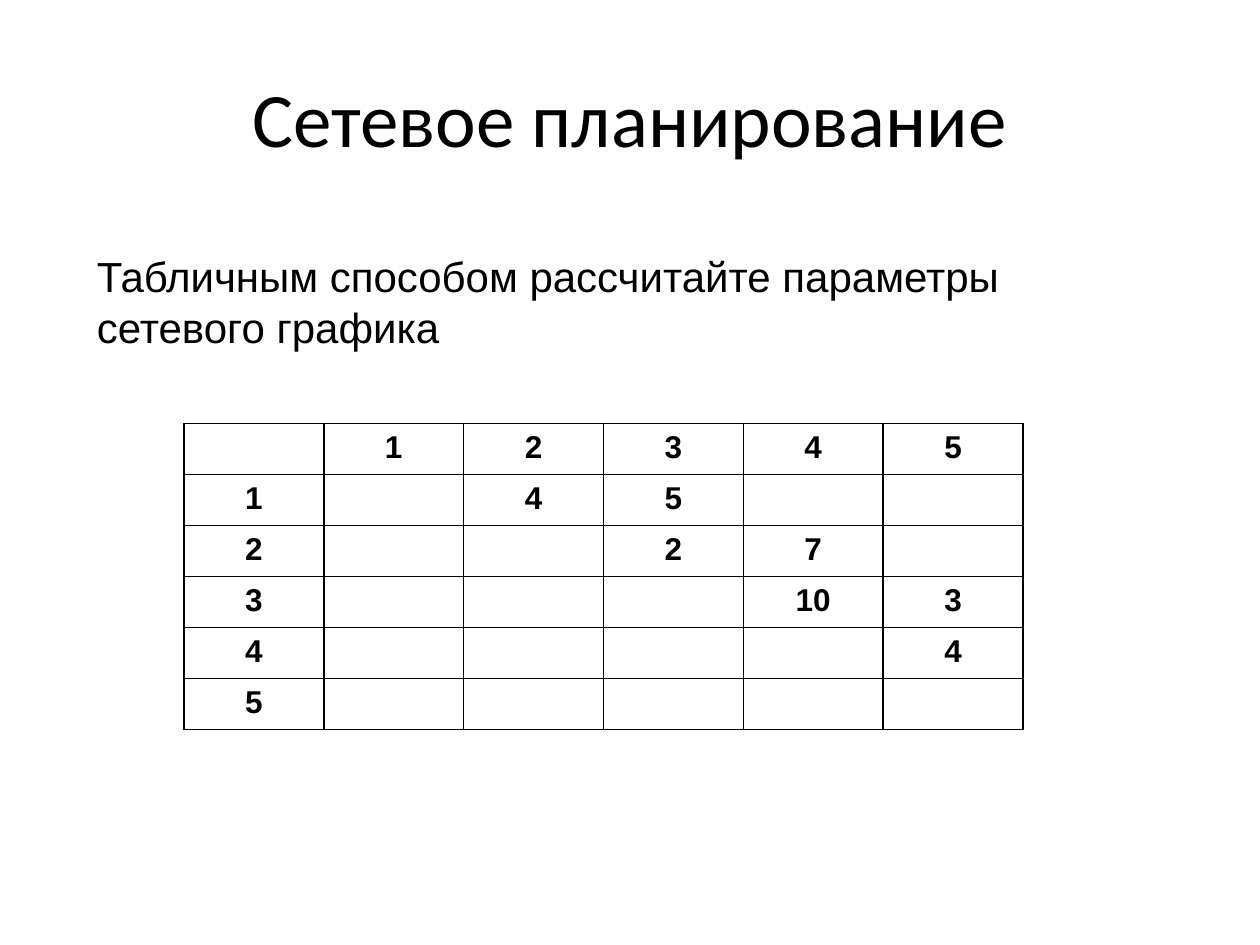
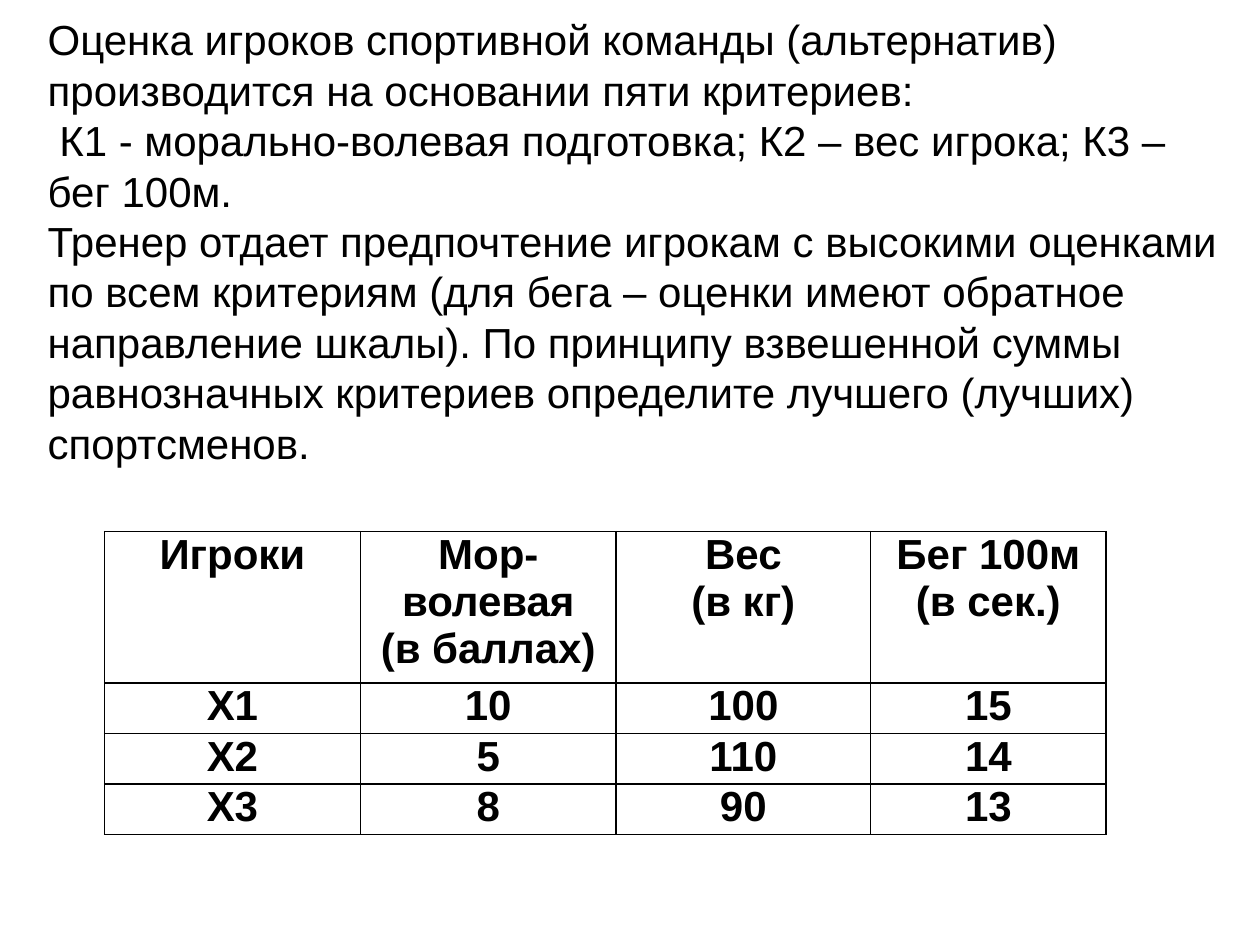
from lxml import etree
from pptx import Presentation
from pptx.dml.color import RGBColor
from pptx.enum.text import MSO_ANCHOR, PP_ALIGN
from pptx.oxml.ns import qn
from pptx.util import Inches, Pt

CENTER, LEFT = PP_ALIGN.CENTER, PP_ALIGN.LEFT
TOP, MIDDLE = MSO_ANCHOR.TOP, MSO_ANCHOR.MIDDLE
BLACK = "000000"
TITLE_FONT, BODY_FONT = "Calibri", "Arial"
BODY_SIZE = 24

NETWORK_DURATIONS = [
    ["", "1", "2", "3", "4", "5"],
    ["1", "", "4", "5", "", ""],
    ["2", "", "", "2", "7", ""],
    ["3", "", "", "", "10", "3"],
    ["4", "", "", "", "", "4"],
    ["5", "", "", "", "", ""],
]
PLAYER_SCORES = [
    ["Игроки", "Мор-волевая\n(в баллах)", "Вес\n(в кг)", "Бег 100м\n(в сек.)"],
    ["Х1", "10", "100", "15"],
    ["Х2", "5", "110", "14"],
    ["Х3", "8", "90", "13"],
]
TEAM_TASK = [
    "Оценка игроков спортивной команды (альтернатив) производится "
    "на основании пяти критериев:",
    " К1 - морально-волевая подготовка; К2 – вес игрока; К3 – бег 100м.",
    "Тренер отдает предпочтение игрокам с высокими оценками по всем критериям "
    "(для бега – оценки имеют обратное направление шкалы). По принципу "
    "взвешенной суммы равнозначных критериев определите лучшего (лучших) "
    "спортсменов.",
]


def color(hex_value):
    return RGBColor.from_string(hex_value)


def write(frame, lines, size, font=BODY_FONT, align=LEFT, bold=False):
    frame.text = "\n".join(lines)
    for paragraph in frame.paragraphs:
        paragraph.alignment = align
        paragraph.font.size = Pt(size)
        paragraph.font.name = font
        paragraph.font.bold = bold
        paragraph.font.color.rgb = color(BLACK)


def add_text(slide, box, lines, size=BODY_SIZE, anchor=TOP, **style):
    frame = slide.shapes.add_textbox(*map(Inches, box)).text_frame
    frame.word_wrap = True
    frame.vertical_anchor = anchor
    write(frame, lines, size, **style)


def add_title(slide, title):
    add_text(slide, (0.5, 0.3, 9, 1.25), [title], 44, MIDDLE,
             font=TITLE_FONT, align=CENTER)


def outline_cell(cell):
    properties = cell._tc.get_or_add_tcPr()
    for position, side in enumerate(("a:lnL", "a:lnR", "a:lnT", "a:lnB")):
        border = etree.Element(qn(side), w=str(Pt(1)))
        fill = etree.SubElement(border, qn("a:solidFill"))
        etree.SubElement(fill, qn("a:srgbClr"), val=BLACK)
        properties.insert(position, border)


def add_grid(slide, left, top, widths, heights, values, size, margins=None):
    table = slide.shapes.add_table(
        len(heights), len(widths), Inches(left), Inches(top),
        Inches(sum(widths)), Inches(sum(heights))).table
    table.first_row = table.horz_banding = False
    for column, width in zip(table.columns, widths):
        column.width = Inches(width)
    for row, height, row_values in zip(table.rows, heights, values):
        row.height = Inches(height)
        for cell, value in zip(row.cells, row_values):
            if margins:
                side, edge = map(Inches, margins)
                cell.margin_left = cell.margin_right = side
                cell.margin_top = cell.margin_bottom = edge
            cell.fill.background()
            outline_cell(cell)
            write(cell.text_frame, value.split("\n"), size,
                  align=CENTER, bold=True)


def build_network_slide(slide):
    add_title(slide, "Сетевое планирование")
    add_text(slide, (0.67, 1.94, 7.95, 0.91),
             ["Табличным способом рассчитайте параметры сетевого графика"])
    add_grid(slide, 1.46, 3.36, [1.11] * 6, [0.405] * 6,
             NETWORK_DURATIONS, 18)


def build_team_slide(slide):
    add_grid(slide, 0.83, 4.22, [2.03, 2.03, 2.02, 1.87],
             [1.11] + [0.37] * 3, PLAYER_SCORES, BODY_SIZE, (0.07, 0))
    add_text(slide, (0.28, 0.04, 9.61, 3.74), TEAM_TASK, anchor=MIDDLE)


def main():
    presentation = Presentation()
    presentation.slide_width = Inches(10)
    presentation.slide_height = Inches(7.5)
    blank = presentation.slide_layouts[6]
    for build in (build_network_slide, build_team_slide):
        build(presentation.slides.add_slide(blank))
    presentation.save("out.pptx")


if __name__ == "__main__":
    main()
